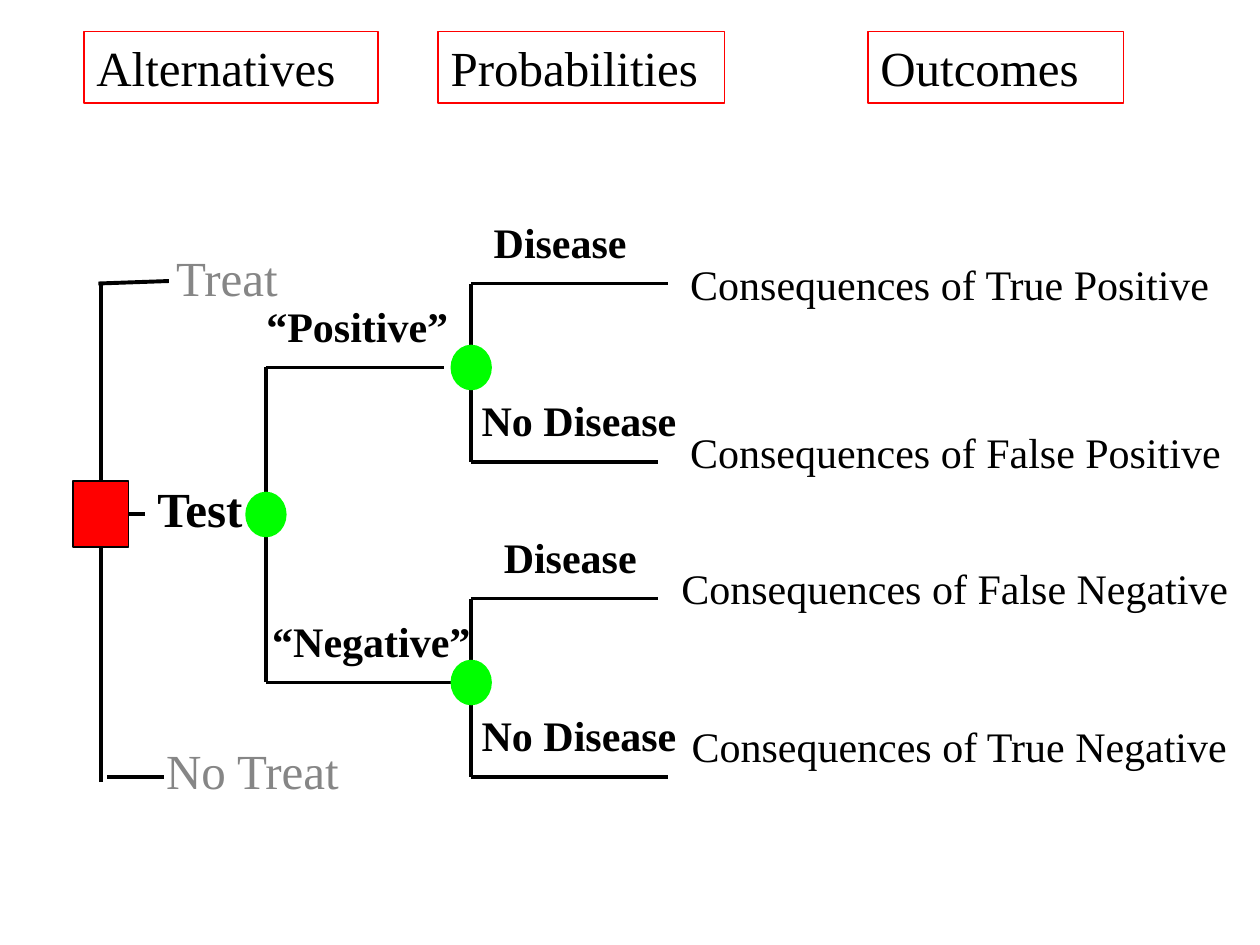
from collections import namedtuple

from lxml import etree
from pptx import Presentation
from pptx.dml.color import RGBColor
from pptx.enum import shapes, text
from pptx.oxml import ns
from pptx.util import Pt

BLACK = RGBColor(0, 0, 0)
GRAY = RGBColor(0x86, 0x86, 0x86)
RED = RGBColor(0xFF, 0, 0)
GREEN = RGBColor(0, 0xFF, 0)
FONT = "Times New Roman"
LABEL_RISE = 42
LABEL_HEIGHT = 36.7
HEAD_HEIGHT = 41

Box = namedtuple("Box", "left top width height")
Arm = namedtuple("Arm", "label length shift width align wrap")


def write(shape, words, size, color=BLACK, bold=False, align="LEFT", wrap=True, side=7.2):
    """Put one run of text in a shape with the slide's margins and font."""
    frame = shape.text_frame
    frame.word_wrap = wrap
    frame.auto_size = text.MSO_AUTO_SIZE.SHAPE_TO_FIT_TEXT
    frame.vertical_anchor = text.MSO_ANCHOR.TOP
    frame.margin_left = frame.margin_right = Pt(side)
    frame.margin_top = frame.margin_bottom = Pt(3.6)
    para = frame.paragraphs[0]
    para.alignment = text.PP_ALIGN[align]
    span = para.add_run()
    span.text = words
    span.font.name = FONT
    span.font.size = Pt(size)
    span.font.bold = bold
    span.font.color.rgb = color


def add_label(page, box, words, size, **style):
    """Add a text box at the given box."""
    label = page.shapes.add_textbox(*map(Pt, box))
    write(label, words, size, **style)


def add_figure(page, kind, box, fill, line, weight):
    """Add a preset shape, without fill when fill is None."""
    figure = page.shapes.add_shape(shapes.MSO_SHAPE[kind], *map(Pt, box))
    figure.shadow.inherit = False
    if fill is None:
        figure.fill.background()
    else:
        figure.fill.solid()
        figure.fill.fore_color.rgb = fill
    figure.line.color.rgb = line
    figure.line.width = Pt(weight)
    return figure


def add_line(page, start, end, weight):
    """Add a straight black line without a shadow."""
    line = page.shapes.add_connector(
        shapes.MSO_CONNECTOR.STRAIGHT, *map(Pt, (*start, *end)))
    line.line.color.rgb = BLACK
    line.line.width = Pt(weight)
    etree.SubElement(line._element.spPr, ns.qn("a:effectLst"))
    return line


def add_headings(page, box, columns):
    """Add the red-framed column headings along the top of the box."""
    for words, offset, width in columns:
        place = Box(box.left + offset, box.top, width, box.height)
        frame = add_figure(page, "RECTANGLE", place, None, RED, 1)
        write(frame, words, 28)


def add_decision(page, box):
    """Add the decision square, its trunk and the three alternatives."""
    left, top, width, height = box
    trunk, bottom = left + width / 2, top + height
    square = Box(left, top + 113, width, 37.5)
    middle = square.top + square.height / 2
    choice = add_figure(page, "RECTANGLE", square, RED, BLACK, 1)
    stems = (((trunk, top), (trunk, square.top), 0),
             ((trunk, bottom), (trunk, square.top + square.height), 2),
             ((left + 41, middle), (left + width, middle), 3))
    for start, end, site in stems:
        add_line(page, start, end, 2.25).end_connect(choice, site)
    add_line(page, (trunk - 1.4, top), (left + 54.7, top - 1.4), 2.25)
    add_line(page, (left + 19.4, bottom - 3), (left + 51.8, bottom - 3), 2.25)
    names = (("Treat", 51.8, -23.8, 73.4, GRAY, False),
             ("No Treat", 46, 257.8, 114.5, GRAY, False),
             ("Test", 41, 108, 65.5, BLACK, True))
    for words, x, y, span, color, bold in names:
        place = Box(left + x, top + y, span, HEAD_HEIGHT)
        add_label(page, place, words, 28, color=color, bold=bold, wrap=False)


def add_fork(page, box, drop, arms):
    """Add a chance fork: stem, upper and lower arm with labels, and node."""
    left, top, width, height = box
    add_line(page, (left, top), (left, top + height), 2)
    for arm, y in zip(arms, (top, top + height)):
        add_line(page, (left, y), (left + arm.length, y), 2)
        place = Box(left + arm.shift, y - LABEL_RISE, arm.width, LABEL_HEIGHT)
        add_label(page, place, arm.label, 24, bold=True,
                  align=arm.align, wrap=arm.wrap, side=7.8)
    node = Box(left - 10.8, top + drop - 12, 21.6, 24)
    add_figure(page, "OVAL", node, GREEN, GREEN, 2)


def add_outcomes(page, box, outcomes):
    """Add the consequence texts down the right-hand column."""
    for words, x, y, width in outcomes:
        place = Box(box.left + x, box.top + y, width, LABEL_HEIGHT)
        add_label(page, place, "Consequences of " + words, 24, side=7.8)


def main():
    """Build the decision tree slide and save it."""
    deck = Presentation()
    deck.slide_width, deck.slide_height = Pt(720), Pt(540)
    page = deck.slides.add_slide(deck.slide_layouts[6])

    add_headings(page, Box(48, 18, 594, HEAD_HEIGHT), (
        ("Alternatives", 0, 168), ("Probabilities", 202.5, 163.5), ("Outcomes", 448, 146)))
    add_decision(page, Box(41.8, 162, 31.7, 285))
    add_fork(page, Box(152, 210, 106.5, 180), 84, (
        Arm("“Positive”", 101.5, -42.5, 189.4, "CENTER", True),
        Arm("“Negative”", 106.5, -4.3, 129, "CENTER", False)))
    forks = ((162, 112.3, 106.5, 5, 96), (342, 106.5, 112.3, 10.8, 128))
    for top, upper, lower, shift, width in forks:
        add_fork(page, Box(269.3, top, 112.3, 102), 48, (
            Arm("Disease", upper, shift, width, "LEFT", True),
            Arm("No Disease", lower, -2.2, 127.5, "CENTER", False)))
    add_outcomes(page, Box(381.6, 144, 338.4, 301), (
        ("True Positive", 5, 0, 315.4),
        ("False Positive", 5, 96, 321.1),
        ("False Negative", 0, 174, 338.4),
        ("True Negative", 5.8, 264, 332.6)))
    deck.save("out.pptx")


if __name__ == "__main__":
    main()
